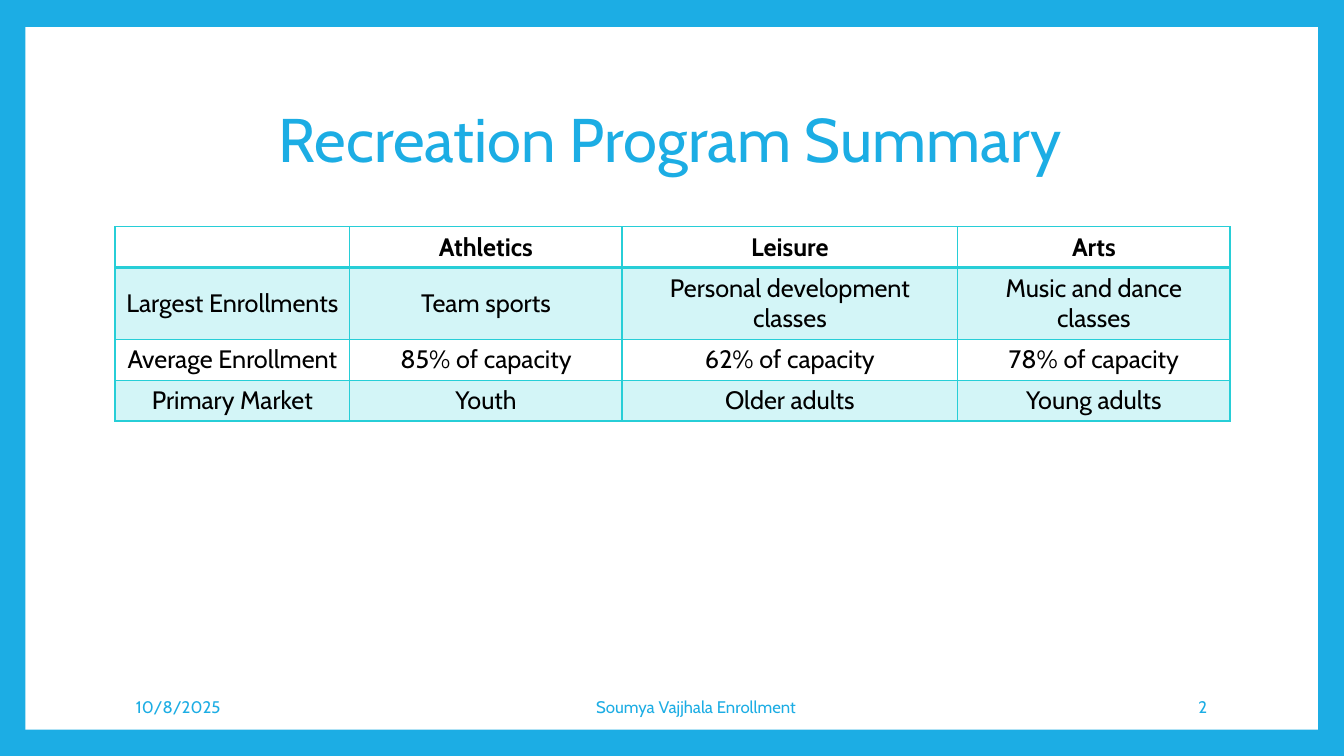
from collections import namedtuple

from lxml.etree import SubElement
from pptx import Presentation
from pptx.dml.color import RGBColor
from pptx.enum.shapes import MSO_SHAPE as Shape
from pptx.enum.text import MSO_ANCHOR as Anchor, PP_ALIGN as Align
from pptx.oxml.ns import qn
from pptx.util import Inches, Pt

BLUE = RGBColor(0x1C, 0xAD, 0xE4)
TEAL = RGBColor(0x27, 0xCE, 0xD7)
WHITE = RGBColor(0xFF, 0xFF, 0xFF)
BLACK = RGBColor(0x00, 0x00, 0x00)
FONT = "Cabin"
TINT_PERCENT = 20

Box = namedtuple("Box", "left top width height")
PAGE = Box(0, 0, Inches(13.33), Inches(7.5))

COLUMN_WEIGHTS = (2.33, 2.7, 3.33, 2.7)
PROGRAMS = (
    ("", "Athletics", "Leisure", "Arts"),
    ("Largest Enrollments", "Team sports", "Personal development classes",
     "Music and dance classes"),
    ("Average Enrollment", "85% of capacity", "62% of capacity", "78% of capacity"),
    ("Primary Market", "Youth", "Older adults", "Young adults"),
)
# Text, left and width in percent of the footer, alignment
FOOTER_PARTS = (
    ("10/8/2025", 0, 23.6, Align.LEFT),
    ("Soumya Vajjhala Enrollment", 28.4, 47.7, Align.CENTER),
    ("2", 82.7, 17.3, Align.RIGHT),
)


def part_of(box, left, top, width, height):
    """Return a box inside another, given in percent of its size."""
    return Box(int(box.left + box.width * left / 100),
               int(box.top + box.height * top / 100),
               int(box.width * width / 100),
               int(box.height * height / 100))


def write(frame, text, size=18, color=BLACK, bold=False, align=Align.CENTER,
          line_spacing=None):
    paragraph = frame.paragraphs[0]
    paragraph.alignment = align
    paragraph.line_spacing = line_spacing
    run = paragraph.add_run()
    run.text = text
    run.font.name = FONT
    run.font.size = Pt(size)
    run.font.bold = bold
    run.font.color.rgb = color


def draw_border(cell, side, points):
    line = SubElement(cell._tc.get_or_add_tcPr(), qn(f"a:ln{side}"), w=str(Pt(points)))
    fill = SubElement(line, qn("a:solidFill"))
    SubElement(fill, qn("a:srgbClr"), val=str(TEAL))


def fill_tint(cell):
    cell.fill.solid()
    cell.fill.fore_color.rgb = TEAL
    color = cell._tc.tcPr.find(qn("a:solidFill")).find(qn("a:srgbClr"))
    SubElement(color, qn("a:alpha"), val=str(TINT_PERCENT * 1000))


def add_frame(slide, box):
    # The blue background shows as a frame around the white panel
    slide.background.fill.solid()
    slide.background.fill.fore_color.rgb = BLUE
    panel = slide.shapes.add_shape(Shape.RECTANGLE, *box)
    panel.shadow.inherit = False
    panel.fill.solid()
    panel.fill.fore_color.rgb = WHITE
    panel.line.fill.background()
    # Keep the panel behind the title
    slide.shapes._spTree.insert(2, panel._element)


def add_title(slide, box):
    title = slide.shapes.title
    title.left, title.top, title.width, title.height = box
    title.text_frame.vertical_anchor = Anchor.MIDDLE
    write(title.text_frame, "Recreation Program Summary", size=44, color=BLUE,
          line_spacing=0.9)


def add_program_table(slide, box):
    table = slide.shapes.add_table(len(PROGRAMS), len(COLUMN_WEIGHTS), *box).table
    for column, weight in zip(table.columns, COLUMN_WEIGHTS):
        column.width = int(box.width * weight / sum(COLUMN_WEIGHTS))
    for r, texts in enumerate(PROGRAMS):
        # A thicker line separates the header from the body
        top, bottom = (2 if r == 1 else 1), (2 if r == 0 else 1)
        for c, text in enumerate(texts):
            cell = table.cell(r, c)
            cell.vertical_anchor = Anchor.MIDDLE
            for side, points in (("L", 1), ("R", 1), ("T", top), ("B", bottom)):
                draw_border(cell, side, points)
            if r % 2:
                fill_tint(cell)
            else:
                cell.fill.background()
            if text:
                write(cell.text_frame, text, bold=r == 0)


def add_footer(slide, box):
    for text, left, width, align in FOOTER_PARTS:
        frame = slide.shapes.add_textbox(*part_of(box, left, 0, width, 100)).text_frame
        frame.word_wrap = True
        frame.vertical_anchor = Anchor.MIDDLE
        write(frame, text, size=12, color=BLUE, align=align)


def main():
    deck = Presentation()
    deck.slide_width, deck.slide_height = PAGE.width, PAGE.height
    slide = deck.slides.add_slide(deck.slide_layouts[5])
    add_frame(slide, part_of(PAGE, 1.88, 3.6, 96.17, 92.93))
    add_title(slide, part_of(PAGE, 9.38, 8.93, 81.02, 19.73))
    add_program_table(slide, part_of(PAGE, 8.55, 30, 82.97, 21.6))
    add_footer(slide, part_of(PAGE, 9.38, 90.8, 81.17, 5.33))
    deck.save("out.pptx")


if __name__ == "__main__":
    main()
